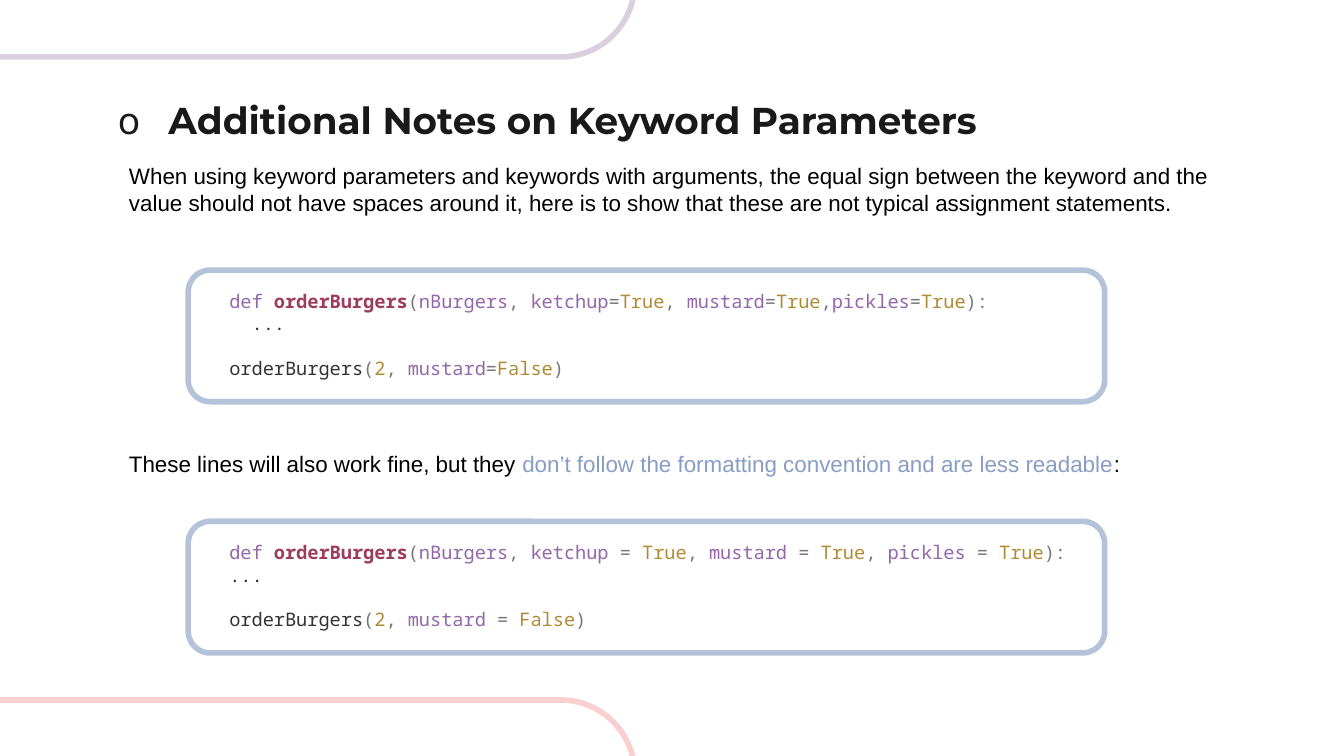
from lxml.etree import SubElement
from pptx import Presentation
from pptx.dml.color import RGBColor
from pptx.enum.shapes import MSO_SHAPE
from pptx.enum.text import MSO_ANCHOR, PP_ALIGN
from pptx.oxml.ns import qn
from pptx.util import Pt

BLACK = RGBColor(0x00, 0x00, 0x00)
INK = RGBColor(0x19, 0x19, 0x19)
DARK = RGBColor(0x33, 0x33, 0x33)
GRAY = RGBColor(0x77, 0x77, 0x77)
PURPLE = RGBColor(0x94, 0x66, 0xAA)
WINE = RGBColor(0x9D, 0x3C, 0x5E)
GOLD = RGBColor(0xB0, 0x8B, 0x35)
BLUE = RGBColor(0x88, 0x9D, 0xC5)
FRAME = RGBColor(0xB4, 0xC2, 0xDA)
LILAC = RGBColor(0xD9, 0xCF, 0xDE)
PINK = RGBColor(0xF9, 0xCF, 0xD0)

MONO = "Noto Sans Mono"
TINTS = {
    **dict.fromkeys(("def", "nBurgers", "ketchup", "mustard", "pickles"), PURPLE),
    **dict.fromkeys(("True", "False", "2"), GOLD),
    **dict.fromkeys(("orderBurgers", "..."), DARK),
}
TIGHT = (
    "def |orderBurgers|(|nBurgers|, |ketchup|=|True|, |mustard|=|True|,|pickles|=|True|):",
    "  ...",
    "orderBurgers|(|2|, |mustard|=|False|)",
)
LOOSE = (
    "def |orderBurgers|(|nBurgers|, |ketchup |= |True|, |mustard |= |True|, |pickles |= |True|):",
    "...",
    "orderBurgers|(|2|, |mustard |= |False|)",
)


def add_frame(slide, box, color, bend=None):
    """Draw an unfilled rounded outline in the box."""
    left, top, width, height = map(Pt, box)
    shape = slide.shapes.add_shape(MSO_SHAPE.ROUNDED_RECTANGLE, left, top, width, height)
    shape.shadow.inherit = False
    shape.fill.background()
    shape.line.color.rgb = color
    shape.line.width = Pt(3)
    if bend is not None:
        shape.adjustments[0] = bend


def add_text(slide, box):
    """Add a wrapping text box and return its frame."""
    frame = slide.shapes.add_textbox(*map(Pt, box)).text_frame
    frame.word_wrap = True
    return frame


def add_run(para, text, color):
    """Append a coloured run and return it."""
    run = para.add_run()
    run.text = text
    run.font.color.rgb = color
    return run


def set_title(slide, box, text):
    """Place the title with its round bullet."""
    title = slide.shapes.title
    title.left, title.top, title.width, title.height = map(Pt, box)
    frame = title.text_frame
    frame.vertical_anchor = MSO_ANCHOR.BOTTOM
    frame.margin_left = frame.margin_right = Pt(7.2)
    frame.margin_top = frame.margin_bottom = Pt(7.2)
    para = frame.paragraphs[0]
    para.alignment = PP_ALIGN.LEFT
    para.font.name, para.font.size, para.font.bold = "Montserrat", Pt(20), True
    add_run(para, text, INK)
    props = para._p.get_or_add_pPr()
    props.set("marL", str(Pt(27)))
    props.set("indent", str(-Pt(27)))
    font = SubElement(props, qn("a:buFont"), typeface=MONO)
    mark = SubElement(props, qn("a:buChar"), char="o")
    props.insert(0, font)
    props.insert(1, mark)


def add_note(slide, box, *parts):
    """Write one paragraph from pairs of text and colour."""
    para = add_text(slide, box).paragraphs[0]
    para.font.name, para.font.size = "Arial", Pt(12)
    for text, color in parts:
        add_run(para, text, color)


def add_code(slide, box, lines):
    """Draw a framed listing with coloured tokens."""
    left, top, width, height = box
    frame = add_text(slide, (left + 15, top + 7, width + 5, height - 15))
    for row, line in enumerate(lines):
        para = frame.paragraphs[0] if row == 0 else frame.add_paragraph()
        para.font.name, para.font.size = MONO, Pt(10)
        if row == 2:
            para.space_before = Pt(11.7)
        for token in line.split("|"):
            run = add_run(para, token, TINTS.get(token.strip(), GRAY))
            if row == 0 and token == "orderBurgers":
                run.font.bold = True
                run.font.color.rgb = WINE
    add_frame(slide, box, FRAME)


def main():
    """Build the slide and save it."""
    deck = Presentation()
    deck.slide_width, deck.slide_height = Pt(720), Pt(405)
    slide = deck.slides.add_slide(deck.slide_layouts[5])
    for top, color in ((-48.5, LILAC), (375, PINK)):
        add_frame(slide, (-103, top, 443, 79), color, 0.5)
    set_title(slide, (56, 38, 514, 45.5), "Additional Notes on Keyword Parameters")
    add_note(slide, (62, 83.5, 602, 36), (
        "When using keyword parameters and keywords with arguments, the equal sign "
        "between the keyword and the value should not have spaces around it, here is "
        "to show that these are not typical assignment statements.", BLACK))
    add_note(slide, (62, 237.5, 612, 22),
             ("These lines will also work fine, but they ", BLACK),
             ("don’t follow the formatting convention and are less readable", BLUE),
             (":", BLACK))
    for top, lines in ((144.7, TIGHT), (279.3, LOOSE)):
        add_code(slide, (100.8, top, 491, 70.5), lines)
    deck.save("out.pptx")


if __name__ == "__main__":
    main()
